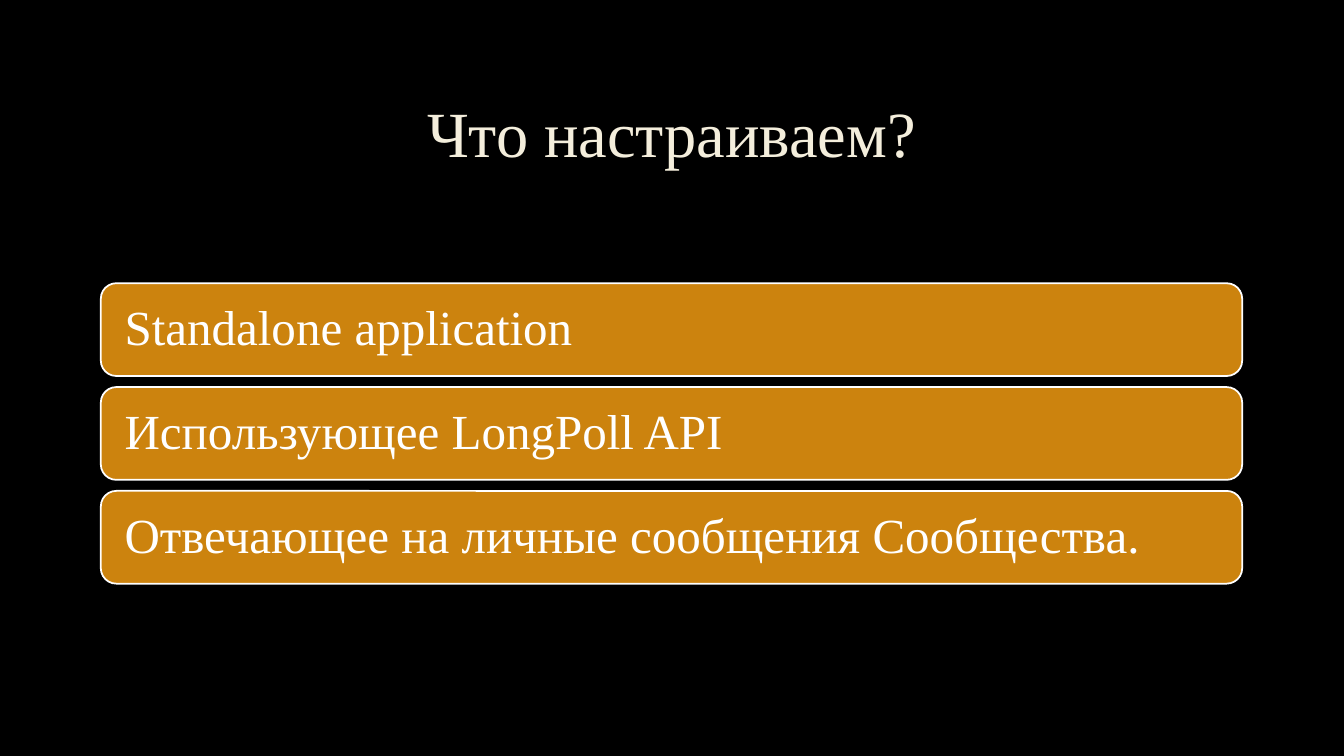
from lxml.etree import SubElement
from pptx import Presentation
from pptx.dml.color import RGBColor
from pptx.enum.shapes import MSO_SHAPE
from pptx.enum.text import MSO_ANCHOR, PP_ALIGN
from pptx.oxml.ns import qn
from pptx.util import Inches, Pt


def color(hex_value):
    return RGBColor.from_string(hex_value)


class SlideBuilder:
    font = "Times New Roman"
    background = "000000"
    title_color = "F4EEDC"
    title_outline = "404040"
    bar_color = "CC830E"
    light = "FFFFFF"
    left, width = Inches(1), Inches(11.32)

    def __init__(self, presentation):
        self.slide = presentation.slides.add_slide(presentation.slide_layouts[5])
        fill = self.slide.background.fill
        fill.solid()
        fill.fore_color.rgb = color(self.background)

    def set_text(self, shape, text, size, hex_value, alignment):
        text_frame = shape.text_frame
        text_frame.text = text
        text_frame.word_wrap = True
        text_frame.vertical_anchor = MSO_ANCHOR.MIDDLE
        paragraph = text_frame.paragraphs[0]
        paragraph.alignment = alignment
        paragraph.line_spacing = 0.9
        run = paragraph.runs[0]
        run.font.name = self.font
        run.font.size = Pt(size)
        run.font.color.rgb = color(hex_value)
        return run

    def title(self, text):
        shape = self.slide.shapes.title
        shape.left, shape.top = self.left, Inches(0.67)
        shape.width, shape.height = self.width, Inches(1.38)
        run = self.set_text(shape, text, 46, self.title_color, PP_ALIGN.CENTER)
        self.outline(run)

    def outline(self, run):
        """Give the letters a thin, nearly transparent outline."""
        properties = run._r.get_or_add_rPr()
        line = SubElement(properties, qn("a:ln"), w=str(Pt(0.75)))
        properties.insert(0, line)
        fill = SubElement(line, qn("a:solidFill"))
        line_color = SubElement(fill, qn("a:srgbClr"), val=self.title_outline)
        SubElement(line_color, qn("a:alpha"), val="10000")

    def bar(self, text, top):
        shape = self.slide.shapes.add_shape(
            MSO_SHAPE.ROUNDED_RECTANGLE, self.left, top, self.width, Inches(0.92))
        shape.shadow.inherit = False
        shape.fill.solid()
        shape.fill.fore_color.rgb = color(self.bar_color)
        shape.line.color.rgb = color(self.light)
        shape.line.width = Pt(1.25)
        text_frame = shape.text_frame
        text_frame.margin_left = text_frame.margin_right = Inches(0.19)
        self.set_text(shape, text, 35, self.light, PP_ALIGN.LEFT)


def main():
    presentation = Presentation()
    presentation.slide_width = Inches(13.33)
    presentation.slide_height = Inches(7.5)
    builder = SlideBuilder(presentation)

    # Heading
    builder.title("Что настраиваем?")

    # Evenly spaced bars
    features = [
        "Standalone application",
        "Использующее LongPoll API",
        "Отвечающее на личные сообщения Сообщества.",
    ]
    for index, feature in enumerate(features):
        builder.bar(feature, Inches(2.81 + 1.03 * index))

    presentation.save("out.pptx")


if __name__ == "__main__":
    main()
